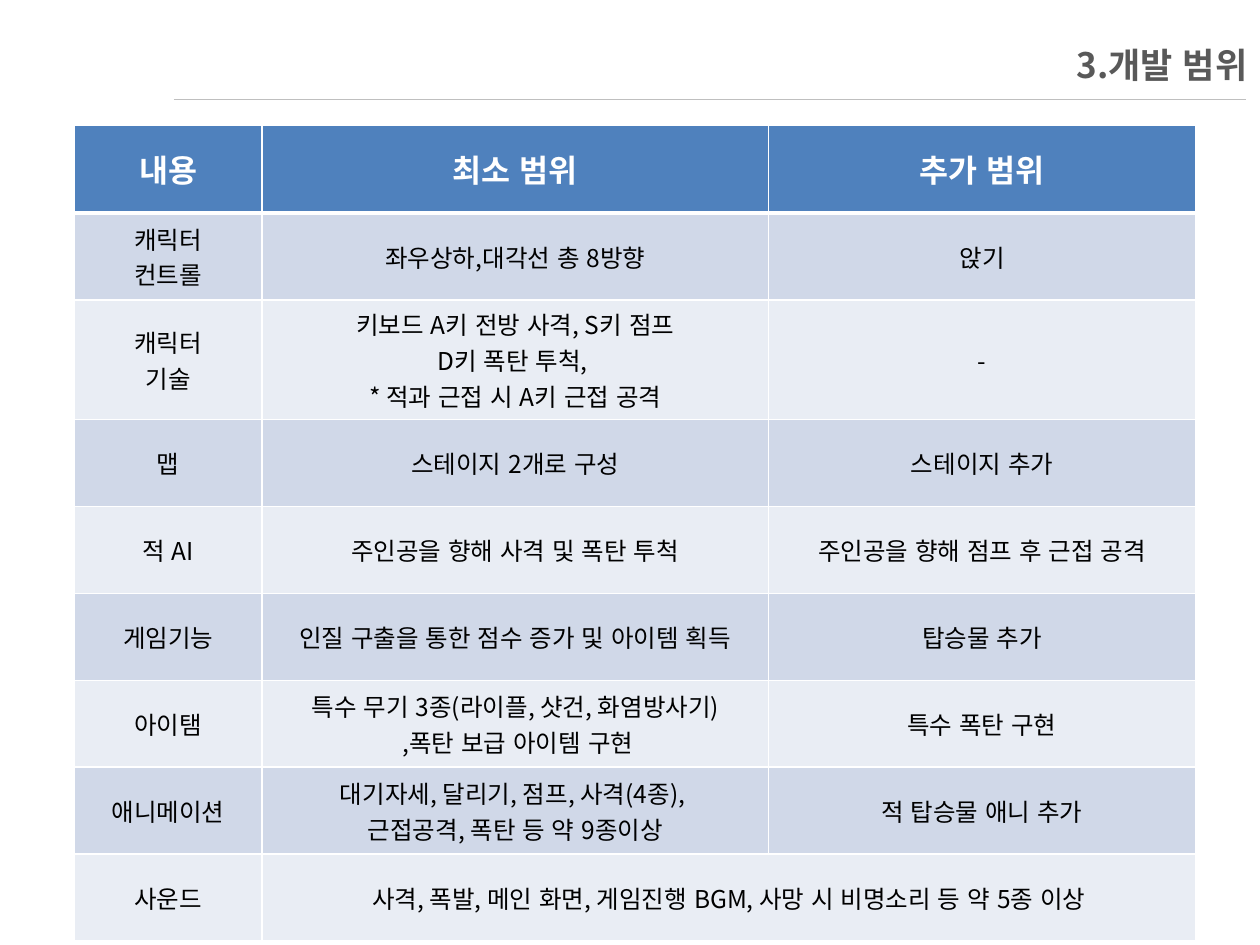
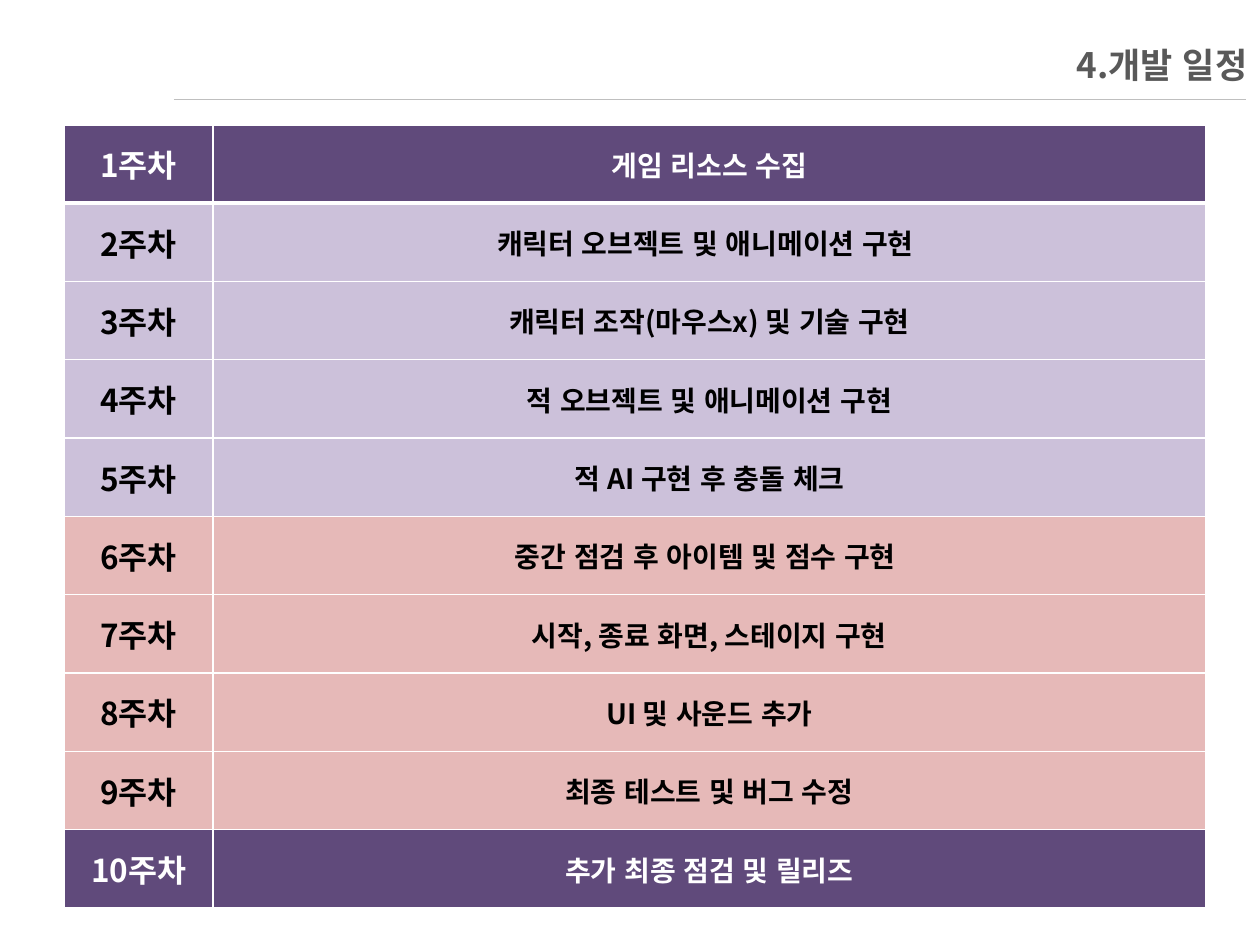
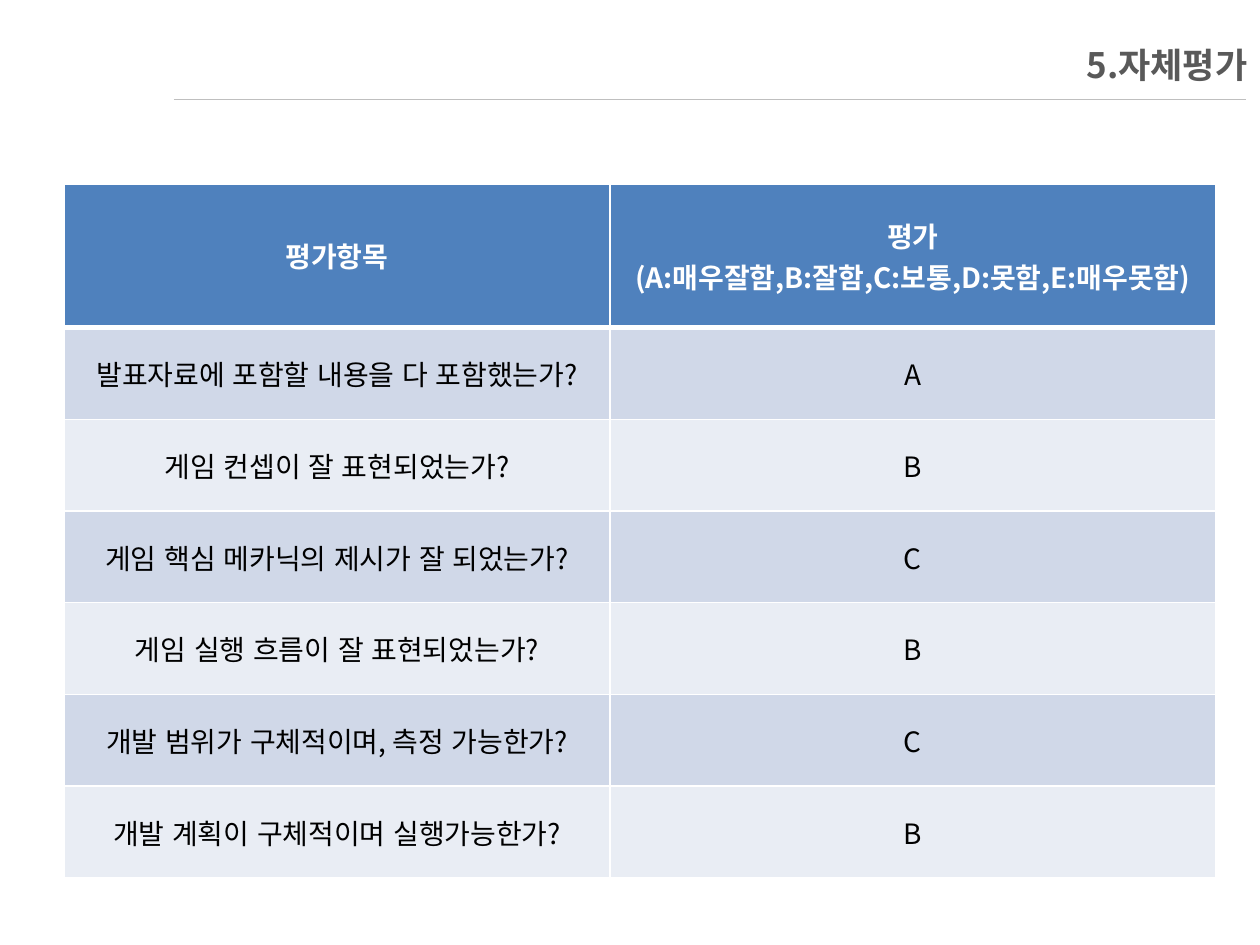
"""Builds three slides on a game project: scope, schedule and self-assessment."""
from itertools import product

from lxml.etree import SubElement
from pptx import Presentation
from pptx.dml.color import RGBColor
from pptx.enum.dml import MSO_LINE
from pptx.enum.lang import MSO_LANGUAGE_ID as Language
from pptx.enum.shapes import MSO_CONNECTOR
from pptx.enum.text import MSO_ANCHOR as Anchor, PP_ALIGN as Align
from pptx.oxml import parse_xml
from pptx.oxml.ns import nsdecls, qn
from pptx.util import Inches, Pt

FONT = "Noto Sans CJK KR"
WHITE = RGBColor(0xFF, 0xFF, 0xFF)
BLACK = RGBColor(0x00, 0x00, 0x00)
TITLE_LIGHT = RGBColor(0x59, 0x59, 0x59)
TITLE_DARK = RGBColor(0x26, 0x26, 0x26)
RULE_GREY = RGBColor(0xBF, 0xBF, 0xBF)
BLUE = RGBColor(0x4F, 0x81, 0xBD)
BAND_DARK = RGBColor(0xD0, 0xD8, 0xE8)
BAND_LIGHT = RGBColor(0xE9, 0xED, 0xF4)
PURPLE = RGBColor(0x60, 0x4A, 0x7B)
LILAC = RGBColor(0xCC, 0xC1, 0xDA)
PINK = RGBColor(0xE6, 0xB9, 0xB8)

SCOPE_ROWS = [
    ["내용", "최소 범위", "추가 범위"],
    ["캐릭터\n컨트롤", "좌우상하,대각선 총 8방향", "앉기"],
    ["캐릭터\n기술", "키보드 A키 전방 사격, S키 점프\nD키 폭탄 투척, \n* 적과 근접 시 A키 근접 공격", "-"],
    ["맵", "스테이지 2개로 구성", "스테이지 추가"],
    ["적 AI", "주인공을 향해 사격 및 폭탄 투척", "주인공을 향해 점프 후 근접 공격"],
    ["게임기능", "인질 구출을 통한 점수 증가 및 아이템 획득", "탑승물 추가"],
    ["아이탬", "특수 무기 3종(라이플, 샷건, 화염방사기)\n ,폭탄 보급 아이템 구현", "특수 폭탄 구현"],
    ["애니메이션", "대기자세, 달리기, 점프, 사격(4종), \n근접공격, 폭탄 등 약 9종이상", "적 탑승물 애니 추가"],
    ["사운드", "사격, 폭발, 메인 화면, 게임진행 BGM, 사망 시 비명소리 등 약 5종 이상"],
]
WEEKLY_TASKS = [
    "게임 리소스 수집",
    "캐릭터 오브젝트 및 애니메이션 구현 ",
    "캐릭터 조작(마우스x) 및 기술 구현",
    "적 오브젝트 및 애니메이션 구현",
    "적 AI 구현 후 충돌 체크",
    "중간 점검 후 아이템 및 점수 구현 ",
    "시작, 종료 화면, 스테이지 구현",
    "UI 및 사운드 추가",
    "최종 테스트 및 버그 수정",
    "추가 최종 점검 및 릴리즈",
]
SCHEDULE_ROWS = [[f"{week}주차", task] for week, task in enumerate(WEEKLY_TASKS, 1)]
REVIEW_ROWS = [
    ["평가항목", "평가\n(A:매우잘함,B:잘함,C:보통,D:못함,E:매우못함)"],
    ["발표자료에 포함할 내용을 다 포함했는가?", "A"],
    ["게임 컨셉이 잘 표현되었는가?", "B"],
    ["게임 핵심 메카닉의 제시가 잘 되었는가?", "C"],
    ["게임 실행 흐름이 잘 표현되었는가?", "B"],
    ["개발 범위가 구체적이며, 측정 가능한가?", "C"],
    ["개발 계획이 구체적이며 실행가능한가?", "B"],
]

HEADER = (BLUE, WHITE, True)
BANDS = [(BAND_DARK, BLACK, False), (BAND_LIGHT, BLACK, False)]
MILESTONE = (PURPLE, WHITE, True)
SCHEDULE_STYLES = [MILESTONE] + [(LILAC, BLACK, True)] * 4 + [(PINK, BLACK, True)] * 4 + [MILESTONE]

PAGES = [
    {"title": "3.개발 범위", "left": 0.59, "top": 0.99, "columns": [1.49, 4.02, 3.39],
     "heights": [0.7, 0.69, 0.95] + [0.69] * 6, "rows": SCOPE_ROWS,
     "styles": [HEADER] + BANDS * 4, "sizes": [[18] * 3] + [[14] * 3] * 8},
    {"title": "4.개발 일정", "left": 0.51, "top": 0.99, "columns": [1.18, 7.88],
     "heights": [6.22 / 10] * 10, "rows": SCHEDULE_ROWS, "styles": SCHEDULE_STYLES,
     "sizes": [[18, 16]] * 10},
    {"title": "5.자체평가", "left": 0.51, "top": 1.46, "columns": [4.33, 4.81],
     "heights": [1.14] + [4.37 / 6] * 6, "rows": REVIEW_ROWS, "styles": [HEADER] + BANDS * 3,
     "sizes": [[16, 16]] * 7},
]


def format_text(text_frame, size, bold, alignment):
    """Gives every run the shared font and returns the runs."""
    runs = []
    for paragraph in text_frame.paragraphs:
        paragraph.alignment = alignment
        for run in paragraph.runs:
            run.font.size = Pt(size)
            run.font.bold = bold
            run.font.name = FONT
            run.font.language_id = Language.KOREAN
            SubElement(run.font._element, qn("a:ea"), typeface=FONT)
            runs.append(run)
    return runs


def set_borders(cell, row):
    """Draws white cell borders, with a thick one under the first row."""
    points = {"L": 1, "R": 1, "T": 3 if row == 1 else 1, "B": 3 if row == 0 else 1}
    properties = cell._tc.get_or_add_tcPr()
    for position, (side, width) in enumerate(points.items()):
        properties.insert(position, parse_xml(
            f'<a:ln{side} {nsdecls("a")} w="{Pt(width)}"><a:solidFill>'
            f'<a:srgbClr val="{WHITE}"/></a:solidFill></a:ln{side}>'))


presentation = Presentation()
presentation.slide_width = Inches(10)
presentation.slide_height = Inches(7.5)

for page in PAGES:
    slide = presentation.slides.add_slide(presentation.slide_layouts[6])

    rule = slide.shapes.add_connector(
        MSO_CONNECTOR.STRAIGHT, Inches(1.38), Inches(0.79), Inches(9.89), Inches(0.79))
    rule.line.color.rgb = RULE_GREY
    rule.line.width = Pt(0.25)
    rule.line.dash_style = MSO_LINE.ROUND_DOT
    SubElement(rule._element.spPr, qn("a:effectLst"))

    title = slide.shapes.add_textbox(Inches(1), Inches(0.29), Inches(9), Inches(0.45))
    title.text_frame.word_wrap = True
    title.text_frame.vertical_anchor = Anchor.MIDDLE
    title.text_frame.text = page["title"]
    for run in format_text(title.text_frame, 20, True, Align.RIGHT):
        run.font.fill.gradient()
        run.font.fill.gradient_angle = 90
        for stop, colour in zip(run.font.fill.gradient_stops, [TITLE_LIGHT, TITLE_DARK]):
            stop.color.rgb = colour

    columns, heights, rows = page["columns"], page["heights"], page["rows"]
    table = slide.shapes.add_table(
        len(rows), len(columns), Inches(page["left"]), Inches(page["top"]),
        Inches(sum(columns)), Inches(sum(heights))).table
    table.first_row = False
    table.horz_banding = False
    for column, width in zip(table.columns, columns):
        column.width = Inches(width)
    for table_row, height in zip(table.rows, heights):
        table_row.height = Inches(height)

    for row, column in product(range(len(rows)), range(len(columns))):
        fill, colour, bold = page["styles"][row]
        cell = table.cell(row, column)
        cell.fill.solid()
        cell.fill.fore_color.rgb = fill
        cell.vertical_anchor = Anchor.MIDDLE
        set_borders(cell, row)
        if column < len(rows[row]):
            cell.text_frame.text = rows[row][column]
            for run in format_text(cell.text_frame, page["sizes"][row][column], bold, Align.CENTER):
                run.font.color.rgb = colour
        elif column == len(rows[row]):
            table.cell(row, column - 1).merge(table.cell(row, len(columns) - 1))

presentation.save("out.pptx")
